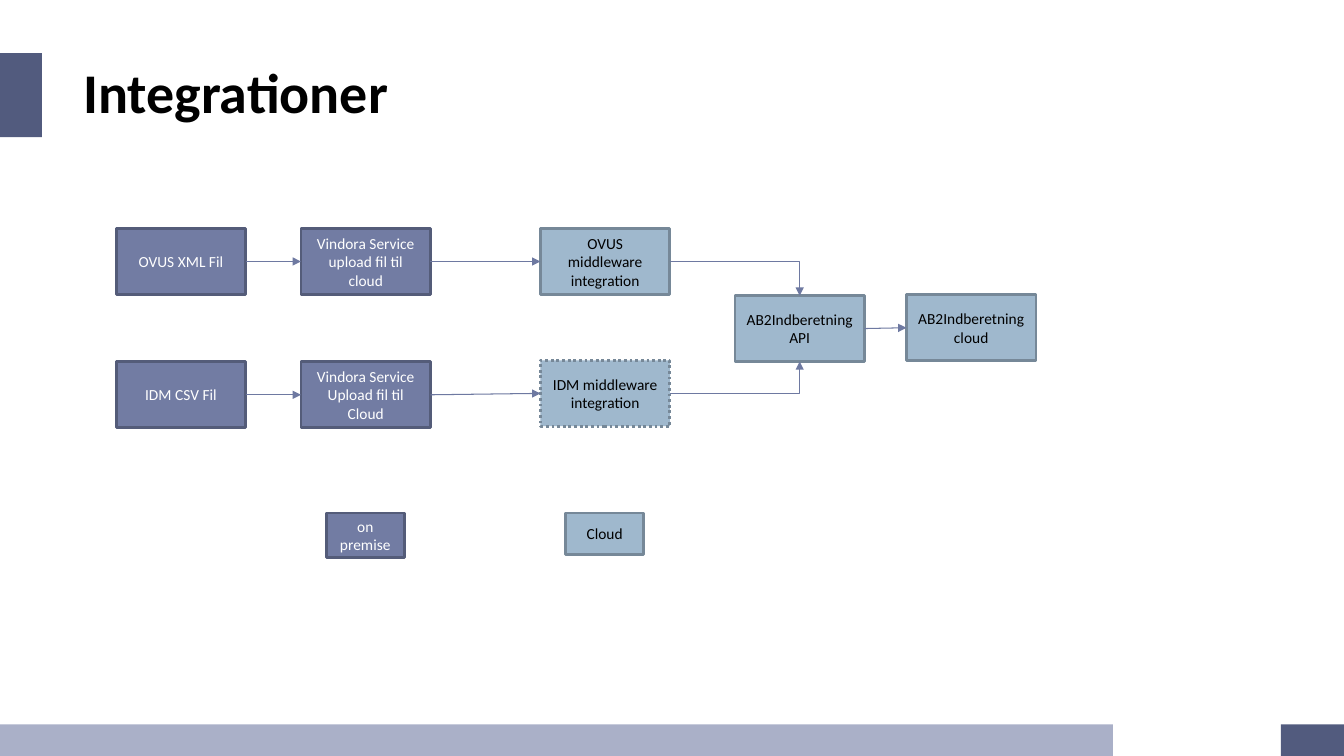
from dataclasses import dataclass
from pptx import Presentation
from pptx.dml.color import RGBColor
from pptx.enum.dml import MSO_LINE
from pptx.enum.shapes import MSO_CONNECTOR, MSO_SHAPE
from pptx.enum.text import MSO_ANCHOR, PP_ALIGN
from pptx.oxml.ns import qn
from pptx.util import Pt
from lxml import etree

RECT = MSO_SHAPE.RECTANGLE
STRAIGHT, ELBOW = MSO_CONNECTOR.STRAIGHT, MSO_CONNECTOR.ELBOW
DOTTED = MSO_LINE.ROUND_DOT
TOP, MIDDLE = MSO_ANCHOR.TOP, MSO_ANCHOR.MIDDLE
LEFT, CENTER = PP_ALIGN.LEFT, PP_ALIGN.CENTER
SITE_TOP, SITE_LEFT, SITE_BOTTOM, SITE_RIGHT = range(4)


@dataclass(frozen=True)
class Theme:
    """Colours, font and type sizes of the slide."""
    font: str = "Calibri"
    title_size: float = 40
    label_size: float = 11
    black: str = "000000"
    accent: str = "525B7E"
    footer: str = "AAB0C8"
    arrow: str = "6E79A1"
    premise: tuple = ("727CA3", "545C79", "FFFFFF")
    cloud: tuple = ("9FB8CD", "768898", "000000")


THEME = Theme()


def rgb(value):
    """Turn a hex string into a colour."""
    return RGBColor.from_string(value)


def write(tf, lines, size, color, align, bold=False):
    """Write one paragraph with one run for each line."""
    tf.word_wrap = True
    for i, line in enumerate(lines):
        p = tf.paragraphs[0] if i == 0 else tf.add_paragraph()
        p.alignment = align
        r = p.add_run()
        r.text = line
        r.font.name, r.font.size, r.font.bold = THEME.font, Pt(size), bold
        r.font.color.rgb = rgb(color)


def add_rect(s, box, fill):
    """Add a plain filled rectangle."""
    sp = s.shapes.add_shape(RECT, *map(Pt, box))
    sp.shadow.inherit = False
    sp.fill.solid()
    sp.fill.fore_color.rgb = rgb(fill)
    sp.line.fill.background()
    return sp


def add_node(s, box, text, style):
    """Add a labelled, outlined box."""
    fill, line, color = style
    sp = add_rect(s, box, fill)
    sp.line.color.rgb = rgb(line)
    sp.line.width = Pt(2)
    sp.text_frame.vertical_anchor = MIDDLE
    write(sp.text_frame, text.split("\n"), THEME.label_size, color, CENTER)
    return sp


def add_arrow(s, start, end, site=SITE_LEFT):
    """Join the right side of one node to a side of another."""
    bent = site != SITE_LEFT
    c = s.shapes.add_connector(ELBOW if bent else STRAIGHT, 0, 0, 0, 0)
    c.begin_connect(start, SITE_RIGHT)
    c.end_connect(end, site)
    c.line.color.rgb = rgb(THEME.arrow)
    c.line.width = Pt(0.75)
    spPr = c._element.spPr
    if bent:
        spPr.find(qn("a:prstGeom")).set("prst", "bentConnector2")
    etree.SubElement(spPr.find(qn("a:ln")), qn("a:tailEnd"), type="triangle")
    etree.SubElement(spPr, qn("a:effectLst"))


def header(s, x, y, w, h):
    """Place the accent tab and the title."""
    add_rect(s, (x, y, 30, h), THEME.accent)
    title = s.shapes.title
    title.left, title.top, title.width, title.height = map(
        Pt, (x + 52.5, y - 0.8, w - 52.5, 55.5))
    title.text_frame.vertical_anchor = TOP
    write(title.text_frame, ["Integrationer"], THEME.title_size,
          THEME.black, LEFT, bold=True)


def footer(s, x, y, w, h):
    """Place the footer band and its corner block."""
    add_rect(s, (x, y, 795, h), THEME.footer)
    add_rect(s, (x + w - 45, y, 45, h), THEME.accent)


def flow(s, x, y, w, h):
    """Place the two integration chains and the shared endpoint."""
    node_w, node_h = 92.5, 47
    bottom, middle = h - node_h, (h - node_h) / 2
    nodes = {
        "ovus file": (0, 0, "OVUS XML Fil", THEME.premise),
        "ovus upload": (132, 0, "Vindora Service upload fil til cloud", THEME.premise),
        "ovus middleware": (303, 0, "OVUS middleware integration", THEME.cloud),
        "idm file": (0, bottom, "IDM CSV Fil", THEME.premise),
        "idm upload": (132, bottom, "Vindora Service\nUpload fil til Cloud", THEME.premise),
        "idm middleware": (303, bottom - 1, "IDM middleware integration", THEME.cloud),
        "api": (442, middle + 0.3, "AB2Indberetning API", THEME.cloud),
        "endpoint": (w - node_w, middle - 0.3, "AB2Indberetning cloud", THEME.cloud),
    }
    sps = {name: add_node(s, (x + dx, y + dy, node_w, node_h), text, style)
           for name, (dx, dy, text, style) in nodes.items()}
    sps["idm middleware"].line.dash_style = DOTTED
    for chain, site in (("ovus", SITE_TOP), ("idm", SITE_BOTTOM)):
        source, upload, middleware = (
            sps[f"{chain} {step}"] for step in ("file", "upload", "middleware"))
        add_arrow(s, source, upload)
        add_arrow(s, upload, middleware)
        add_arrow(s, middleware, sps["api"], site)
    add_arrow(s, sps["api"], sps["endpoint"])


def legend(s, x, y, w, h):
    """Place the key to the two box colours."""
    key_w = 55.8
    add_node(s, (x, y, key_w, h), "on\npremise", THEME.premise)
    add_node(s, (x + w - key_w, y, key_w, h - 2), "Cloud", THEME.cloud)


def main():
    """Build and save the presentation."""
    prs = Presentation()
    prs.slide_width, prs.slide_height = Pt(960), Pt(540)
    s = prs.slides.add_slide(prs.slide_layouts[5])
    footer(s, 0, 517.5, 960, 22.5)
    header(s, 0, 38, 870, 60)
    flow(s, 83, 163.3, 657, 142.2)
    legend(s, 233, 366.5, 226.8, 31.7)
    prs.save("out.pptx")


main()
